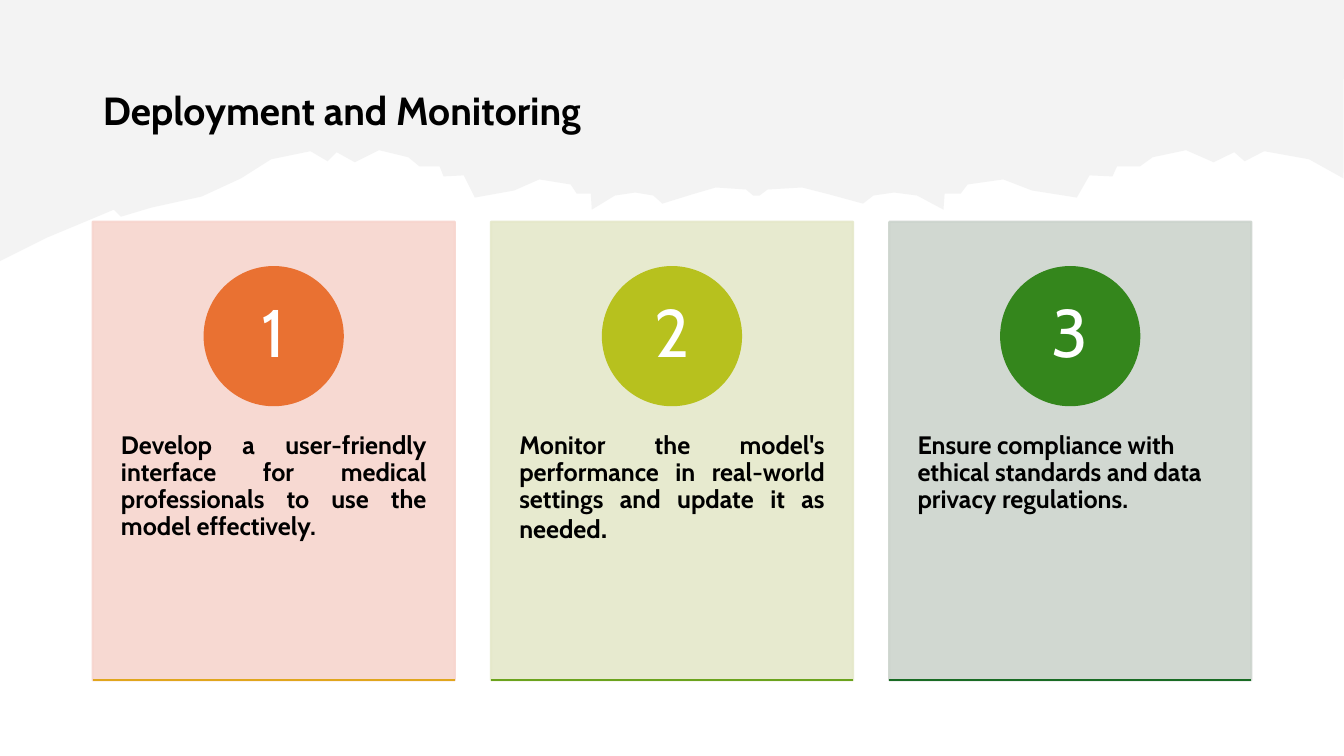
import pptx
import pptx.dml.color
import pptx.enum.shapes
import pptx.enum.text
import pptx.oxml
import pptx.oxml.ns
import pptx.util
from dataclasses import dataclass

Inches = pptx.util.Inches
Align = pptx.enum.text.PP_ALIGN
Anchor = pptx.enum.text.MSO_ANCHOR
Preset = pptx.enum.shapes.MSO_SHAPE

# Content
TITLE = "Deployment and Monitoring"
STEPS = [
    {"text": [("Develop a user-friendly interface for medical professionals "
               "to use the model effectively.", 18)],
     "align": Align.JUSTIFY, "card": "F7D5CE", "disc": "E97132", "rule": "E0A61D"},
    {"text": [("Monitor the model's performance in real-world settings "
               "and update it as needed", 18), (".", 20)],
     "align": Align.JUSTIFY, "card": "E5E8CA", "disc": "B7C11E", "rule": "6BA31D"},
    {"text": [("Ensure compliance with ethical standards and data privacy regulations.", 18)],
     "align": Align.LEFT, "card": "CCD4CD", "disc": "34861C", "rule": "196B24"},
]

# Torn edge: the outer slope, then the half that is mirrored to the right
OUTER_SLOPE = [(0, 2.59), (0.46, 2.36), (0.82, 2.21), (1.13, 2.08), (1.2, 2.15),
               (1.5, 2.06), (2, 1.95)]
MIRRORED_HALF = [
    (2.39, 1.77), (2.69, 1.58), (3.08, 1.5), (3.25, 1.6), (3.34, 1.51),
    (3.52, 1.61), (3.76, 1.49), (4.05, 1.56), (4.16, 1.65), (4.36, 1.65),
    (4.4, 1.75), (4.6, 1.74), (4.71, 1.96), (5.1, 1.89), (5.35, 1.78),
    (5.66, 1.83), (5.72, 1.92), (5.86, 1.92), (5.87, 2.08), (6.1, 1.94),
    (6.3, 1.91), (6.48, 1.94), (6.57, 2.02), (6.86, 1.93), (7.1, 1.86),
    (7.4, 1.88), (7.47, 1.94),
]


@dataclass(frozen=True)
class Theme:
    font: str = "Cabin"
    ink: str = "000000"
    white: str = "FFFFFF"
    band: str = "E8E8E8"
    title_size: int = 28
    number_size: int = 48
    line_width: float = 1.5


THEME = Theme()

# Layout in inches
SLIDE_W, SLIDE_H = 13.33, 7.5
CARD_LEFT, CARD_TOP, CARD_W, CARD_H = 0.92, 2.2, 3.59, 4.55
CARD_PITCH = 3.95
DISC_TOP, DISC_SIZE = 2.65, 1.37
BODY_TOP, BODY_H = 3.93, 2.73
MIRROR_X, MIRROR_STRETCH = 7.5, 1.14


def rgb(code):
    return pptx.dml.color.RGBColor.from_string(code)


def set_opacity(shape, percent):
    for color in shape.element.spPr.iter(pptx.oxml.ns.qn("a:srgbClr")):
        color.append(pptx.oxml.parse_xml(
            f'<a:alpha {pptx.oxml.ns.nsdecls("a")} val="{percent * 1000}"/>'))


def write(shape, runs, *, color=THEME.ink, bold=True, align=Align.LEFT,
          anchor=Anchor.TOP, insets=(0.1, 0.05, 0.1, 0.05)):
    frame = shape.text_frame
    frame.word_wrap = True
    frame.auto_size = pptx.enum.text.MSO_AUTO_SIZE.NONE
    frame.vertical_anchor = anchor
    (frame.margin_left, frame.margin_top,
     frame.margin_right, frame.margin_bottom) = map(Inches, insets)
    paragraph = frame.paragraphs[0]
    paragraph.alignment = align
    paragraph.line_spacing = 0.9
    for text, size in runs:
        run = paragraph.add_run()
        run.text = text
        run.font.name = THEME.font
        run.font.size = pptx.util.Pt(size)
        run.font.bold = bold
        run.font.color.rgb = rgb(color)


def add_filled(slide, preset, box, color):
    shape = slide.shapes.add_shape(preset, *map(Inches, box))
    shape.shadow.inherit = False
    shape.fill.solid()
    shape.fill.fore_color.rgb = rgb(color)
    shape.line.color.rgb = rgb(color)
    shape.line.width = pptx.util.Pt(THEME.line_width)
    return shape


def add_torn_band(slide):
    right_half = [(MIRROR_X + (MIRROR_X - x) * MIRROR_STRETCH, y)
                  for x, y in reversed(MIRRORED_HALF)]
    outline = OUTER_SLOPE + MIRRORED_HALF + right_half + [(SLIDE_W, 0), (0, 0)]
    corners = [(Inches(x), Inches(y)) for x, y in outline]
    builder = slide.shapes.build_freeform(*corners[0], scale=1.0)
    builder.add_line_segments(corners[1:], close=True)
    band = builder.convert_to_shape()
    band.shadow.inherit = False
    band.fill.solid()
    band.fill.fore_color.rgb = rgb(THEME.band)
    band.line.fill.background()
    set_opacity(band, 50)
    # Send the band behind the title
    slide.shapes.title.element.addprevious(band.element)


def add_step(slide, number, step):
    left = CARD_LEFT + (number - 1) * CARD_PITCH
    card = add_filled(slide, Preset.RECTANGLE, (left, CARD_TOP, CARD_W, CARD_H), step["card"])
    set_opacity(card, 90)

    body = slide.shapes.add_textbox(*map(Inches, (left, BODY_TOP, CARD_W, BODY_H)))
    write(body, step["text"], align=step["align"], insets=(0.28, 0.36, 0.28, 0.36))

    disc_left = left + (CARD_W - DISC_SIZE) / 2
    disc = add_filled(slide, Preset.OVAL, (disc_left, DISC_TOP, DISC_SIZE, DISC_SIZE), step["disc"])
    write(disc, [(str(number), THEME.number_size)], color=THEME.white, bold=False,
          align=Align.CENTER, anchor=Anchor.MIDDLE, insets=(0.11, 0.01, 0.11, 0.01))

    bottom = CARD_TOP + CARD_H
    rule = slide.shapes.add_connector(
        pptx.enum.shapes.MSO_CONNECTOR.STRAIGHT,
        *map(Inches, (left, bottom, left + CARD_W, bottom)))
    rule.line.color.rgb = rgb(step["rule"])
    rule.line.width = pptx.util.Pt(THEME.line_width)
    rule.element.spPr.append(pptx.oxml.parse_xml(
        f'<a:effectLst {pptx.oxml.ns.nsdecls("a")}/>'))


def main():
    deck = pptx.Presentation()
    deck.slide_width, deck.slide_height = Inches(SLIDE_W), Inches(SLIDE_H)
    slide = deck.slides.add_slide(deck.slide_layouts[5])

    # Title over the torn band
    title = slide.shapes.title
    title.left, title.top, title.width, title.height = map(Inches, (0.92, 0.4, 11.5, 1.02))
    write(title, [(TITLE, THEME.title_size)], anchor=Anchor.BOTTOM, insets=(0.1, 0.05, 0.1, 0.09))
    add_torn_band(slide)

    # Numbered cards
    for number, step in enumerate(STEPS, start=1):
        add_step(slide, number, step)

    deck.save("out.pptx")


if __name__ == "__main__":
    main()
